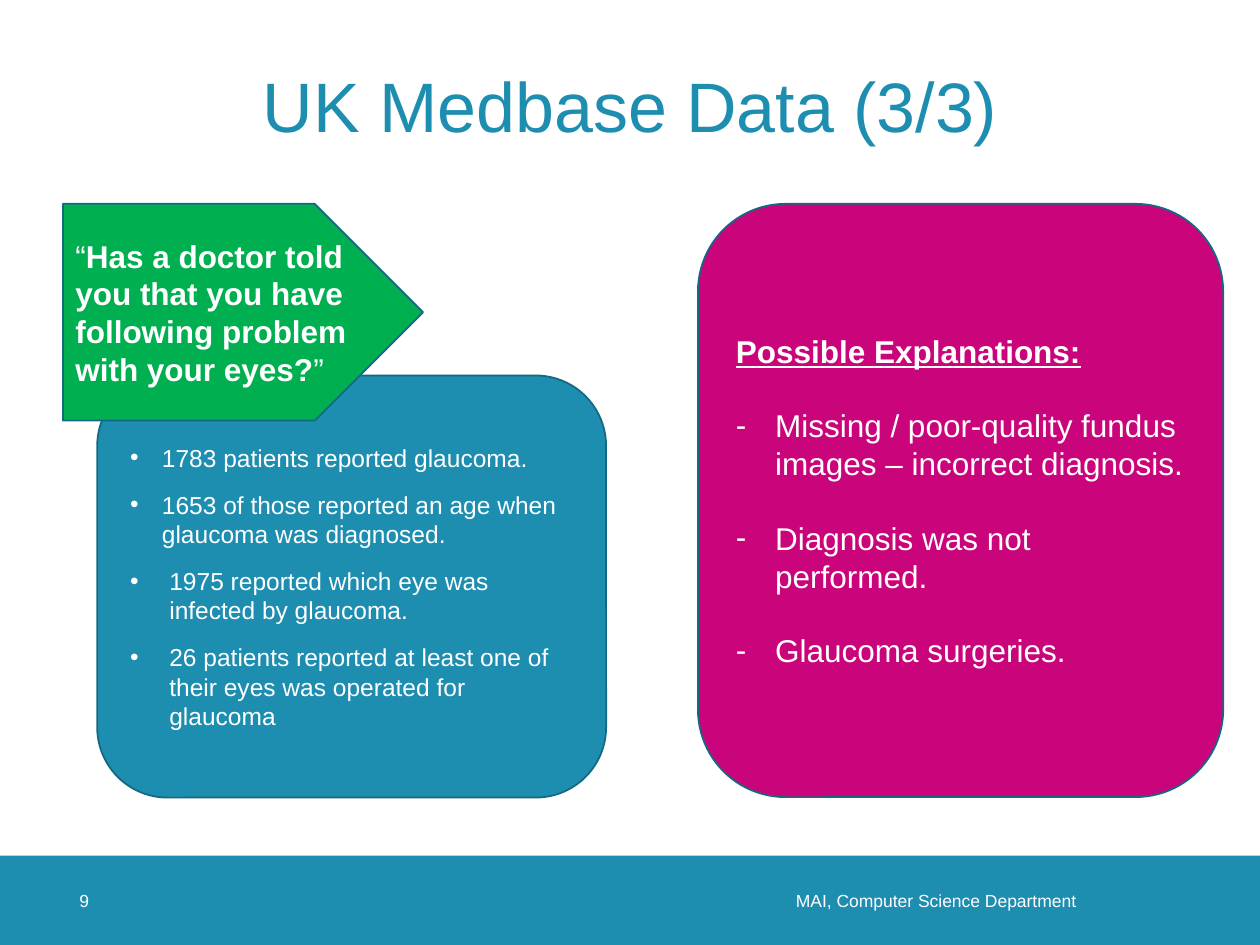
from lxml import etree
from pptx import Presentation
from pptx.dml.color import RGBColor
from pptx.enum import shapes, text
from pptx.oxml import ns
from pptx.util import Cm, Pt

BLUE, EDGE, PINK, GREEN, WHITE = "1D8DB0", "156882", "CA047A", "00B050", "FFFFFF"
KIND = shapes.MSO_SHAPE
LEFT, MID, RIGHT = text.PP_ALIGN.LEFT, text.PP_ALIGN.CENTER, text.PP_ALIGN.RIGHT

TITLE = "UK Medbase Data (3/3)"
# text, hanging indent in cm
FACTS = [
    ("1783 patients reported glaucoma.", 0.64),
    ("1653 of those reported an age when glaucoma was diagnosed.", 0.64),
    ("1975 reported which eye was infected by glaucoma.", 0.79),
    ("26 patients reported at least one of their eyes was operated for glaucoma", 0.79),
]
HEAD = "Possible Explanations:"
CAUSES = [
    ("Missing / poor-quality fundus images – incorrect diagnosis.", 0.79),
    ("Diagnosis was not performed.", 0.79),
    ("Glaucoma surgeries.", 0.79),
]
ASK = ["“", "Has a doctor told you that you have following problem with your eyes?", "”"]
# text, left, width, right inset, alignment
FOOT = [
    ("MAI, Computer Science Department", 11.94, 10.26, 0.51, RIGHT),
    ("9", 1.6, 1.8, 0, LEFT),
]
BAND, DEEP = 17.25, 1.8


def color(code):
    return RGBColor.from_string(code)


def style(par, size, code=WHITE, align=LEFT):
    par.alignment = align
    for run in par.runs:
        run.font.name, run.font.size = "Arial", Pt(size)
        run.font.color.rgb = color(code)


def add_box(slide, kind, spot, fill, edge=EDGE):
    box = slide.shapes.add_shape(kind, *map(Cm, spot))
    box.shadow.inherit = False
    box.fill.solid()
    box.fill.fore_color.rgb = color(fill)
    if edge:
        box.line.color.rgb = color(edge)
        box.line.width = Pt(1)
    else:
        box.line.fill.background()
    box.text_frame.word_wrap = True
    box.text_frame.vertical_anchor = text.MSO_ANCHOR.MIDDLE
    return box.text_frame


def add_list(frame, items, mark, size, gap):
    """Fill the frame with bulleted items, after any heading it holds."""
    for words, hang in items:
        par = frame.add_paragraph() if frame.text else frame.paragraphs[0]
        par.text = words
        style(par, size)
        par.space_before = Pt(gap)
        props = par._p.get_or_add_pPr()
        props.set("marL", str(Cm(hang)))
        props.set("indent", str(-Cm(hang)))
        font = etree.SubElement(props, ns.qn("a:buFont"))
        font.set("typeface", "Arial")
        etree.SubElement(props, ns.qn("a:buChar")).set("char", mark)


def add_foot(slide, words, left, width, inset, align):
    box = slide.shapes.add_textbox(*map(Cm, (left, BAND, width, DEEP)))
    frame = box.text_frame
    frame.word_wrap = True
    frame.vertical_anchor = text.MSO_ANCHOR.MIDDLE
    frame.margin_left = frame.margin_top = frame.margin_bottom = 0
    frame.margin_right = Cm(inset)
    frame.text = words
    style(frame.paragraphs[0], 10, align=align)


def add_title(slide):
    title = slide.shapes.title
    title.left, title.top, title.width, title.height = map(Cm, (1.6, 0.61, 22.2, 3.2))
    frame = title.text_frame
    frame.text = TITLE
    frame.vertical_anchor = text.MSO_ANCHOR.MIDDLE
    frame.paragraphs[0].line_spacing = 0.9
    style(frame.paragraphs[0], 40, BLUE, MID)


def main():
    deck = Presentation()
    deck.slide_width, deck.slide_height = Cm(25.4), Cm(19.05)
    slide = deck.slides.add_slide(deck.slide_layouts[5])

    add_box(slide, KIND.RECTANGLE, (0, BAND, 25.4, DEEP), BLUE, None)
    for part in FOOT:
        add_foot(slide, *part)
    add_title(slide)

    facts = add_box(slide, KIND.ROUNDED_RECTANGLE, (1.96, 7.57, 10.26, 8.51), BLUE)
    add_list(facts, FACTS, "•", 14, 10)

    causes = add_box(slide, KIND.ROUNDED_RECTANGLE, (14.07, 4.11, 10.59, 11.96), PINK)
    causes.text = HEAD
    head = causes.paragraphs[0]
    style(head, 18)
    head.runs[0].font.bold = head.runs[0].font.underline = True
    add_list(causes, CAUSES, "-", 18, 21)

    ask = add_box(slide, KIND.PENTAGON, (1.27, 4.11, 7.26, 4.37), GREEN).paragraphs[0]
    for words in ASK:
        run = ask.add_run()
        run.text = words
        run.font.bold = words == ASK[1]
    style(ask, 18)

    deck.save("out.pptx")


if __name__ == "__main__":
    main()
